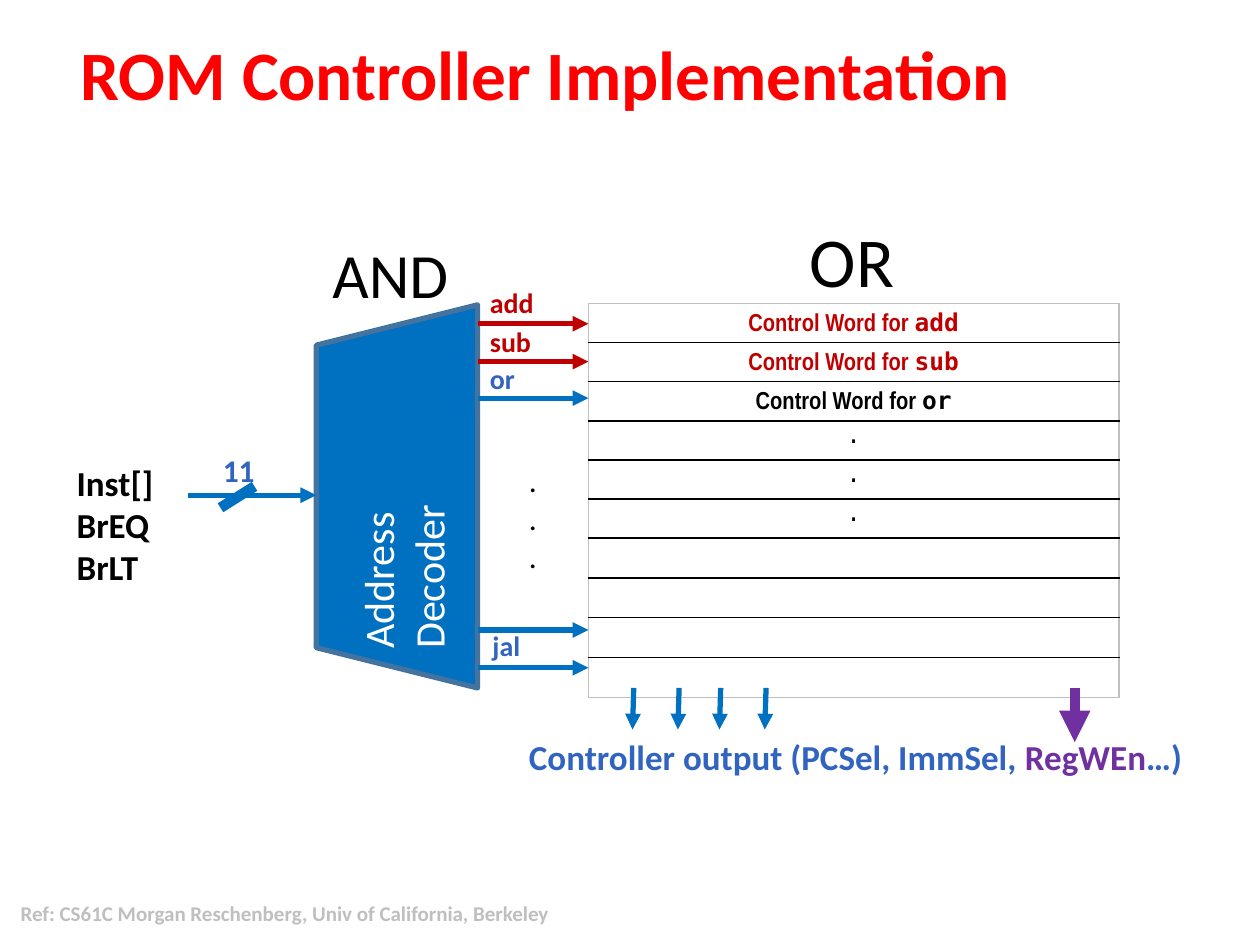
from lxml import etree
from pptx import Presentation
from pptx import util as u
from pptx.dml.color import RGBColor
from pptx.enum import shapes, text
from pptx.oxml.ns import qn

COLORS = {
    "title": "FF0000", "black": "000000", "white": "FFFFFF", "red": "C00000",
    "blue": "0070C0", "label": "3064C0", "edge": "43739E",
    "purple": "7030A0", "grey": "BFBFBF",
}
BODY, NARROW, MONO = "Calibri", "Arial Narrow", "DejaVu Sans Mono"


def rgb(name):
    return RGBColor.from_string(COLORS[name])


class SlideBuilder:
    """Holds the style and the slide being built."""

    def __init__(self, slide):
        self.slide = slide

    def style(self, run, size, color, bold=False, font=BODY):
        run.font.name = font
        run.font.size = u.Pt(size)
        run.font.bold = bold
        run.font.color.rgb = rgb(color)

    def place(self, shape, box):
        shape.left, shape.top, shape.width, shape.height = map(u.Inches, box)

    def title(self, words, box):
        shape = self.slide.shapes.title
        self.place(shape, box)
        frame = shape.text_frame
        frame.text = words
        frame.auto_size = text.MSO_AUTO_SIZE.NONE
        frame.vertical_anchor = text.MSO_ANCHOR.MIDDLE
        paragraph = frame.paragraphs[0]
        paragraph.alignment = text.PP_ALIGN.LEFT
        paragraph.line_spacing = 0.9
        self.style(paragraph.runs[0], 39.6, "title", True)

    def label(self, words, box, size, color, bold=False, wrap=False):
        shape = self.slide.shapes.add_textbox(*map(u.Inches, box))
        frame = shape.text_frame
        frame.word_wrap = wrap
        frame.text = words
        for paragraph in frame.paragraphs:
            for run in paragraph.runs:
                self.style(run, size, color, bold)
        return frame

    def decoder(self, words, box):
        shape = self.slide.shapes.add_shape(
            shapes.MSO_SHAPE.TRAPEZOID, *map(u.Inches, box))
        shape.rotation = 270
        shape.shadow.inherit = False
        shape.fill.solid()
        shape.fill.fore_color.rgb = rgb("blue")
        shape.line.color.rgb = rgb("edge")
        shape.line.width = u.Pt(3)
        frame = shape.text_frame
        frame.text = words
        frame.vertical_anchor = text.MSO_ANCHOR.MIDDLE
        for paragraph in frame.paragraphs:
            paragraph.alignment = text.PP_ALIGN.LEFT
            self.style(paragraph.runs[0], 24, "white")

    def line(self, start, end, color="blue", width=3, arrow=True):
        connector = self.slide.shapes.add_connector(
            shapes.MSO_CONNECTOR.STRAIGHT, *map(u.Inches, start + end))
        connector.line.color.rgb = rgb(color)
        connector.line.width = u.Pt(width)
        properties = connector._element.spPr
        if arrow:
            etree.SubElement(properties.find(qn("a:ln")), qn("a:tailEnd"), type="triangle")
        etree.SubElement(properties, qn("a:effectLst"))

    def border(self, cell, side, color):
        line = etree.SubElement(cell._tc.get_or_add_tcPr(), qn(f"a:ln{side}"),
                                w=str(u.Pt(1)))
        fill = etree.SubElement(line, qn("a:solidFill"))
        etree.SubElement(fill, qn("a:srgbClr"), val=COLORS[color])

    def table(self, rows, box):
        """Each row is a list of (words, font) runs and a colour."""
        table = self.slide.shapes.add_table(
            len(rows), 1, *map(u.Inches, box)).table
        table.first_row = table.horz_banding = False
        for index, (runs, color) in enumerate(rows):
            cell = table.cell(index, 0)
            cell.margin_left = cell.margin_right = u.Inches(0.1)
            cell.margin_top = cell.margin_bottom = u.Inches(0.04)
            paragraph = cell.text_frame.paragraphs[0]
            paragraph.alignment = text.PP_ALIGN.CENTER
            for words, font in runs:
                run = paragraph.add_run()
                run.text = words
                self.style(run, 14, color, True, font)
            # Keeps empty rows as low as the filled ones
            paragraph._p.get_or_add_endParaRPr().set("sz", "1400")
            self.border(cell, "L", "grey")
            self.border(cell, "R", "grey")
            self.border(cell, "T", "black" if index else "grey")
            self.border(cell, "B", "black" if index < len(rows) - 1 else "grey")
            cell.fill.background()


def main():
    presentation = Presentation()
    presentation.slide_width = u.Inches(10)
    presentation.slide_height = u.Inches(7.5)
    builder = SlideBuilder(presentation.slides.add_slide(presentation.slide_layouts[5]))

    builder.title("ROM Controller Implementation", (0.54, 0.34, 9.44, 0.56))

    # Control word table
    words = [([("Control Word for ", NARROW), (name, MONO)], color)
             for name, color in (("add", "red"), ("sub", "red"), ("or", "black"))]
    dots = [([(".", NARROW)], "black")] * 3
    builder.table(words + dots + [([], "black")] * 4, (4.67, 2.41, 4.21, 3.1))

    # Address decoder and its output lines
    builder.decoder("Address\nDecoder", (1.63, 3.3, 3.04, 1.28))
    for y, color in ((2.57, "red"), (2.87, "red"), (3.16, "blue"),
                     (5, "blue"), (5.3, "blue")):
        builder.line((3.79, y), (4.67, y), color)
    for name, x, y, width, color in (
            ("add", 3.79, 2.22, 0.55, "red"), ("sub", 3.79, 2.53, 0.53, "red"),
            ("or", 3.79, 2.82, 0.4, "label"), ("jal", 3.81, 4.94, 0.42, "label")):
        builder.label(name, (x, y, width, 0.37), 16, color, True)
    builder.label(".\n.\n.", (4.1, 3.61, 0.27, 1.01), 18, "black")

    # Decoder input bus
    builder.label("Inst[]\nBrEQ\nBrLT", (0.51, 3.61, 0.82, 1.11), 20, "black", True)
    builder.line((1.49, 3.93), (2.51, 3.93))
    builder.line((1.75, 4.03), (2.02, 3.86), width=6, arrow=False)
    builder.label("11", (1.67, 3.53, 0.46, 0.4), 18, "label", True)

    # Controller outputs
    for x in (5.03, 5.39, 5.72, 6.08):
        builder.line((x, 5.46), (x - 0.01, 5.79))
    builder.line((8.53, 5.46), (8.53, 5.89), "purple", 6)
    frame = builder.label("Controller output (PCSel, ImmSel, ",
                          (4.1, 5.79, 6, 0.44), 20, "label", True, wrap=True)
    for part, color in (("RegWEn", "purple"), ("…)", "label")):
        run = frame.paragraphs[0].add_run()
        run.text = part
        builder.style(run, 20, color, True)

    # Plane headings
    builder.label("AND", (2.54, 1.82, 1.13, 0.71), 36, "black")
    builder.label("OR", (6.33, 1.68, 0.88, 0.77), 40, "black")

    # Reference
    frame = builder.label("Ref: CS61C Morgan Reschenberg, Univ of California, Berkeley ",
                          (0.04, 7.05, 4.48, 0.4), 12, "grey", True, wrap=True)
    frame.vertical_anchor = text.MSO_ANCHOR.MIDDLE
    frame.paragraphs[0].alignment = text.PP_ALIGN.CENTER

    presentation.save("out.pptx")


if __name__ == "__main__":
    main()
